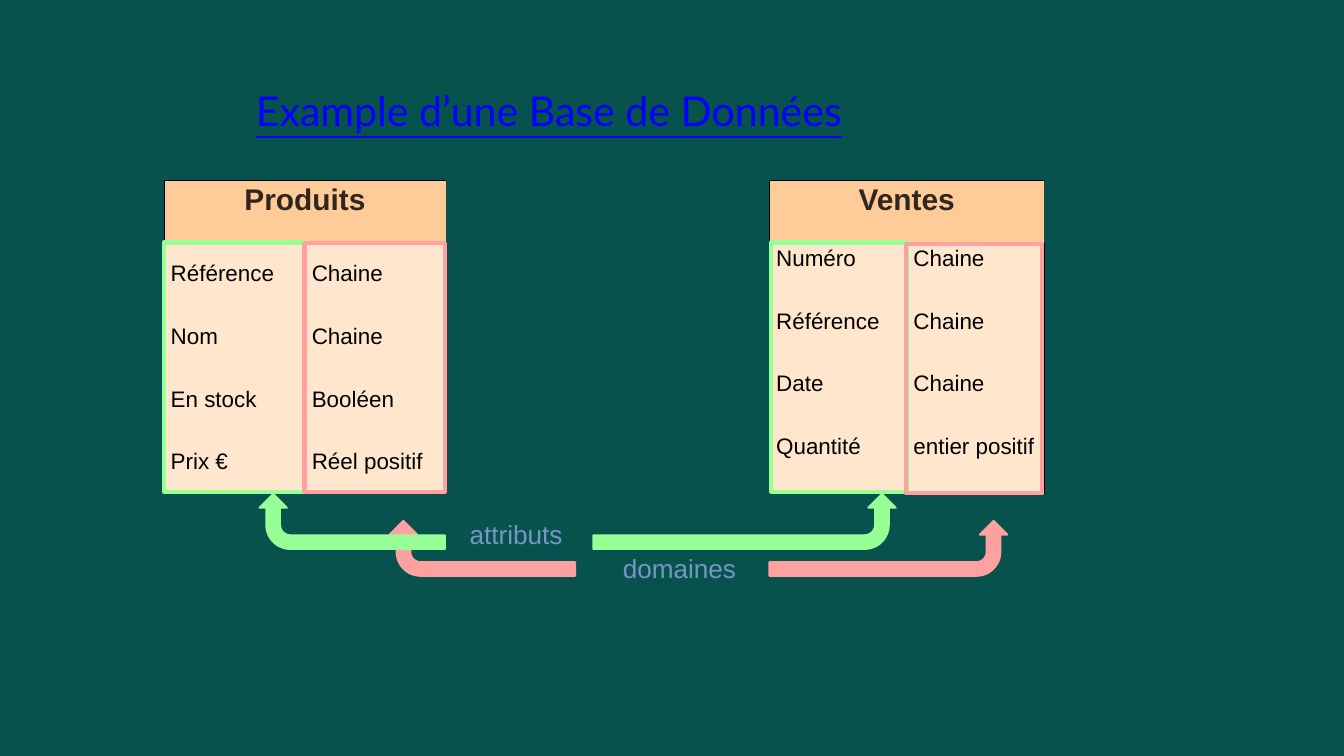
from dataclasses import dataclass

from lxml import etree
from pptx import Presentation
from pptx.dml.color import RGBColor
from pptx.enum.shapes import MSO_SHAPE
from pptx.enum.text import MSO_ANCHOR, MSO_AUTO_SIZE, PP_ALIGN
from pptx.oxml.ns import qn
from pptx.util import Pt

RECT, BENT = MSO_SHAPE.RECTANGLE, MSO_SHAPE.BENT_ARROW
TOP, MID = MSO_ANCHOR.TOP, MSO_ANCHOR.MIDDLE
LEFT, CENTER = PP_ALIGN.LEFT, PP_ALIGN.CENTER
GROW = MSO_AUTO_SIZE.SHAPE_TO_FIT_TEXT


@dataclass(frozen=True)
class Theme:
    back: str = "08524D"
    head: str = "FFCC99"
    body: str = "FFE6CC"
    green: str = "96FF96"
    pink: str = "FFA1A1"
    ink: str = "000000"
    brown: str = "30261D"
    label: str = "7696C3"
    blue: str = "0000FF"
    sans: str = "Arial"
    lato: str = "Lato"
    title: int = 44
    name: int = 32
    note: int = 28
    cell: int = 24


T = Theme()


@dataclass(frozen=True)
class Box:
    x: float
    y: float
    w: float
    h: float

    def points(self) -> list:
        return [Pt(v) for v in (self.x, self.y, self.w, self.h)]


@dataclass(frozen=True)
class Grid:
    name: str
    rows: tuple
    box: Box
    anchor: MSO_ANCHOR


@dataclass(frozen=True)
class Frame:
    box: Box
    color: str


@dataclass(frozen=True)
class Arrow:
    box: Box
    color: str
    right: bool


@dataclass(frozen=True)
class Label:
    text: str
    box: Box


GRIDS = (
    Grid("Produits", (("Référence", "Chaine"), ("Nom", "Chaine"),
                      ("En stock", "Booléen"), ("Prix €", "Réel positif")),
         Box(175.7, 193, 302.4, 335.5), MID),
    Grid("Ventes", (("Numéro", "Chaine"), ("Référence", "Chaine"),
                    ("Date", "Chaine"), ("Quantité", "entier positif")),
         Box(824.4, 193, 294.2, 335.5), TOP),
)
FRAMES = (
    Frame(Box(175.7, 259.9, 150.5, 267), T.green),
    Frame(Box(825.8, 259.9, 146.2, 267), T.green),
    Frame(Box(326.2, 260.6, 150.5, 267), T.pink),
    Frame(Box(970.6, 261.4, 146.2, 267), T.pink),
)
LINKS = (
    (Arrow(Box(487.4, 488.2, 59, 198.7), T.pink, False),
     Arrow(Box(922.3, 460.1, 59, 254.9), T.pink, True),
     Label("domaines", Box(660.2, 588.2, 137.5, 41))),
    (Arrow(Box(347.8, 459.4, 59, 198.7), T.green, False),
     Arrow(Box(768.2, 396.7, 59, 324), T.green, True),
     Label("attributs", Box(496.1, 552.2, 115.2, 41))),
)


def rgb(code: str) -> RGBColor:
    return RGBColor.from_string(code)


def write(frame, text: str, *, size: int, color: str, face: str = T.sans,
          bold: bool = False, under: bool = False, align=LEFT) -> None:
    para = frame.paragraphs[0]
    para.alignment = align
    run = para.add_run()
    run.text = text
    font = run.font
    font.name, font.size, font.bold = face, Pt(size), bold
    font.underline = under
    font.color.rgb = rgb(color)


def edge(cell, sides: str) -> None:
    props = cell._tc.get_or_add_tcPr()
    for spot, side in enumerate("LRTB"):
        line = etree.Element(qn(f"a:ln{side}"), w=str(Pt(1)))
        if side in sides:
            fill = etree.SubElement(line, qn("a:solidFill"))
            etree.SubElement(fill, qn("a:srgbClr"), val=T.ink)
        else:
            etree.SubElement(line, qn("a:noFill"))
        props.insert(spot, line)


def draw_grid(slide, grid: Grid) -> None:
    count = len(grid.rows) + 1
    table = slide.shapes.add_table(count, 2, *grid.box.points()).table
    for col in table.columns:
        col.width = Pt(grid.box.w / 2)
    for row in table.rows:
        row.height = Pt(grid.box.h / count)
    for r in range(count):
        for c in range(2):
            cell = table.cell(r, c)
            cell.fill.solid()
            cell.fill.fore_color.rgb = rgb(T.body if r else T.head)
            ends = ("T" if r == 0 else "") + ("B" if r == count - 1 else "")
            edge(cell, "LR"[c] + ends)
            if r:
                cell.vertical_anchor = grid.anchor
                write(cell.text_frame, grid.rows[r - 1][c],
                      size=T.cell, color=T.ink)
    head = table.cell(0, 0)
    head.merge(table.cell(0, 1))
    write(head.text_frame, grid.name, size=T.name, color=T.brown,
          bold=True, align=CENTER)


def draw_shape(slide, kind, box: Box, color: str, width: float):
    shape = slide.shapes.add_shape(kind, *box.points())
    shape.shadow.inherit = False
    shape.fill.background()
    shape.line.color.rgb = rgb(color)
    shape.line.width = Pt(width)
    return shape


def draw_arrow(slide, arrow: Arrow) -> None:
    shape = draw_shape(slide, BENT, arrow.box, arrow.color, 2)
    shape.fill.solid()
    shape.fill.fore_color.rgb = rgb(arrow.color)
    shape.rotation = 270 if arrow.right else 90
    form = shape._element.spPr.find(qn("a:xfrm"))
    form.set("flipV", "1")
    if not arrow.right:
        form.set("flipH", "1")


def draw_text(slide, label: Label, wrap: bool = False, **form) -> None:
    frame = slide.shapes.add_textbox(*label.box.points()).text_frame
    frame.word_wrap = wrap
    frame.auto_size = GROW
    write(frame, label.text, **form)


def main() -> None:
    deck = Presentation()
    deck.slide_width, deck.slide_height = Pt(1440), Pt(810)
    slide = deck.slides.add_slide(deck.slide_layouts[6])
    slide.background.fill.solid()
    slide.background.fill.fore_color.rgb = rgb(T.back)
    for grid in GRIDS:
        draw_grid(slide, grid)
    for frame in FRAMES:
        draw_shape(slide, RECT, frame.box, frame.color, 4.5)
    for *pair, label in LINKS:
        for arrow in pair:
            draw_arrow(slide, arrow)
        draw_text(slide, label, size=T.note, color=T.label)
    title = Label("Example d’une Base de Données", Box(267.1, 87.8, 923, 60.5))
    draw_text(slide, title, wrap=True, size=T.title, color=T.blue,
              face=T.lato, under=True)
    deck.save("out.pptx")


if __name__ == "__main__":
    main()
